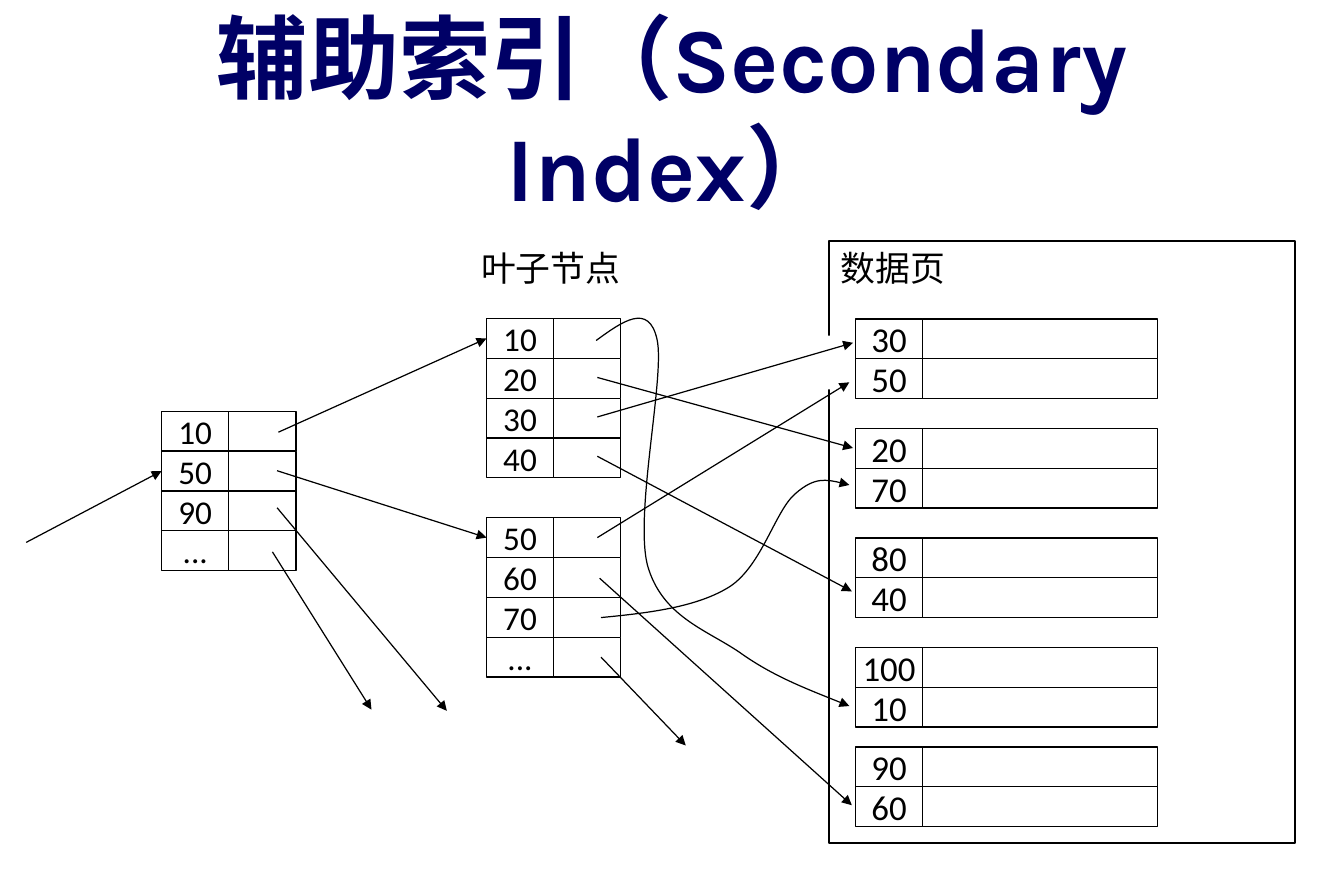
from lxml import etree
from pptx import Presentation
from pptx.dml.color import RGBColor
from pptx.enum.shapes import MSO_CONNECTOR, MSO_SHAPE
from pptx.enum.text import MSO_ANCHOR, MSO_AUTO_SIZE, PP_ALIGN
from pptx.oxml.ns import qn
from pptx.util import Pt

STRAIGHT = MSO_CONNECTOR.STRAIGHT
RECTANGLE = MSO_SHAPE.RECTANGLE
TOP, MIDDLE = MSO_ANCHOR.TOP, MSO_ANCHOR.MIDDLE
LEFT, CENTER = PP_ALIGN.LEFT, PP_ALIGN.CENTER
LEFT_SITE = 1

BLACK, WHITE, NAVY = "000000", "FFFFFF", "000066"
BODY_FONT, TITLE_FONT = "Calibri", "Karla"
ROW_HEIGHT = 24
KEY_WIDTH = 40.5
VALUE_WIDTH = 141.8


def color(value):
    return RGBColor.from_string(value)


def write(shape, text, size, align=LEFT, anchor=TOP, wrap=False,
          font=BODY_FONT, ink=BLACK, bold=False):
    frame = shape.text_frame
    frame.text = text
    frame.word_wrap = wrap
    frame.vertical_anchor = anchor
    paragraph = frame.paragraphs[0]
    paragraph.alignment = align
    for run in paragraph.runs:
        run.font.name = font
        run.font.size = Pt(size)
        run.font.bold = bold
        run.font.color.rgb = color(ink)


def add_box(slide, x, y, width, height, line_width=0.75):
    box = slide.shapes.add_shape(RECTANGLE, Pt(x), Pt(y), Pt(width), Pt(height))
    box.shadow.inherit = False
    box.fill.solid()
    box.fill.fore_color.rgb = color(WHITE)
    if line_width:
        box.line.color.rgb = color(BLACK)
        box.line.width = Pt(line_width)
    else:
        box.line.fill.background()
    return box


def draw_arrow_line(shape):
    shape.line.color.rgb = color(BLACK)
    shape.line.width = Pt(0.75)
    outline = shape.line._get_or_add_ln()
    etree.SubElement(outline, qn("a:tailEnd"), type="triangle")


def add_arrow(slide, x, y, start, end, target=None):
    connector = slide.shapes.add_connector(
        STRAIGHT, Pt(x + start[0]), Pt(y + start[1]),
        Pt(x + end[0]), Pt(y + end[1]))
    draw_arrow_line(connector)
    etree.SubElement(connector._element.spPr, qn("a:effectLst"))
    if target is not None:
        connector.end_connect(target, LEFT_SITE)


def add_curved_arrow(slide, x, y, points):
    placed = [(Pt(x + dx), Pt(y + dy)) for dx, dy in points]
    builder = slide.shapes.build_freeform(*placed[0])
    builder.add_line_segments(placed[1:], close=False)
    curve = builder.convert_to_shape()
    curve.shadow.inherit = False
    curve.fill.background()
    draw_arrow_line(curve)
    outline = next(curve._element.iter(qn("a:path")))
    segments = outline.findall(qn("a:lnTo"))
    for first in range(0, len(segments), 3):
        bezier = etree.SubElement(outline, qn("a:cubicBezTo"))
        for segment in segments[first:first + 3]:
            bezier.append(segment[0])
            outline.remove(segment)


def add_block(slide, x, y, keys, second_width, size):
    key_cells = []
    for row, key in enumerate(keys):
        top = y + row * ROW_HEIGHT
        key_cell = add_box(slide, x, top, KEY_WIDTH, ROW_HEIGHT)
        write(key_cell, key, size, CENTER, MIDDLE)
        add_box(slide, x + KEY_WIDTH, top, second_width, ROW_HEIGHT)
        key_cells.append(key_cell)
    return key_cells


def add_title(slide, x, y, width, height):
    title = slide.shapes.add_textbox(Pt(x), Pt(y), Pt(width), Pt(height))
    frame = title.text_frame
    frame.margin_left = frame.margin_right = Pt(9)
    frame.margin_top = frame.margin_bottom = Pt(4.5)
    write(title, "辅助索引（Secondary Index）", 55, CENTER, MIDDLE, True,
          TITLE_FONT, NAVY, True)


def add_data_pages(slide, x, y, width, height):
    page_frame = add_box(slide, x, y, width, height, 1)
    write(page_frame, "数据页", 21, wrap=True)
    add_box(slide, x - 426.2, y + 56.9, 607.7, 32.4, 0)
    pages = [(46.8, ["30", "50"]), (112.8, ["20", "70"]),
             (178.8, ["80", "40"]), (244.8, ["100", "10"]),
             (304.8, ["90", "60"])]
    for offset, keys in pages:
        add_block(slide, x + 15.9, y + offset, keys, VALUE_WIDTH, 21)


def add_leaf_nodes(slide, x, y):
    heading = slide.shapes.add_textbox(Pt(x - 10.3), Pt(y - 46.6), Pt(99.4), Pt(32.4))
    write(heading, "叶子节点", 21)
    heading.text_frame.auto_size = MSO_AUTO_SIZE.SHAPE_TO_FIT_TEXT
    first = add_block(slide, x, y, ["10", "20", "30", "40"], KEY_WIDTH, 20)
    second = add_block(slide, x, y + 5 * ROW_HEIGHT, ["50", "60", "70", "..."],
                       KEY_WIDTH, 20)
    arrows = [((66.8, 35.5), (220.9, 78)), ((66.8, 59.3), (220.9, 14.6)),
              ((66.8, 83), (220.2, 164.4)), ((66.8, 132), (218.7, 38.4)),
              ((68.2, 156.5), (220.2, 293.3)), ((69, 204), (120.1, 257.3))]
    for start, end in arrows:
        add_arrow(slide, x, y, start, end)
    add_curved_arrow(slide, x, y, [
        (66.1, 13.2), (81.9, 1.7), (97.8, -9.8), (102.8, 12.5),
        (107.8, 34.8), (89.1, 116.9), (97, 148.6),
        (105.7, 179.5), (132.3, 187.4), (152.5, 201.1),
        (172.6, 215.5), (195.7, 224.2), (218.7, 233.5)])
    add_curved_arrow(slide, x, y, [
        (69, 180.2), (98.5, 177.4), (127.3, 173.8), (146.7, 161.5),
        (166.2, 148.6), (174.1, 115.4), (186.3, 105.4),
        (197.8, 95.3), (208.6, 97.4), (218.7, 100.3)])
    return first[0], second[0]


def add_root_node(slide, x, y, first_leaf, second_leaf):
    keys = add_block(slide, x, y, ["10", "50", "90", "..."], KEY_WIDTH, 20)
    arrows = [((70.4, 12.6), (195.8, -43.9), first_leaf),
              ((69.6, 35.8), (195.8, 76.1), second_leaf),
              ((69.6, 58.1), (171.9, 180.5), None),
              ((66.8, 84.7), (126.5, 179.8), None),
              ((-81.6, 79), (0, 36), keys[1])]
    for start, end, target in arrows:
        add_arrow(slide, x, y, start, end, target)


def main():
    presentation = Presentation()
    presentation.slide_width = Pt(810)
    presentation.slide_height = Pt(540)
    slide = presentation.slides.add_slide(presentation.slide_layouts[6])
    add_title(slide, 40.5, 21.6, 729, 90)
    add_data_pages(slide, 499.7, 145.4, 280.8, 362.9)
    first_leaf, second_leaf = add_leaf_nodes(slide, 293.2, 192)
    add_root_node(slide, 97.4, 247.9, first_leaf, second_leaf)
    presentation.save("out.pptx")


if __name__ == "__main__":
    main()
